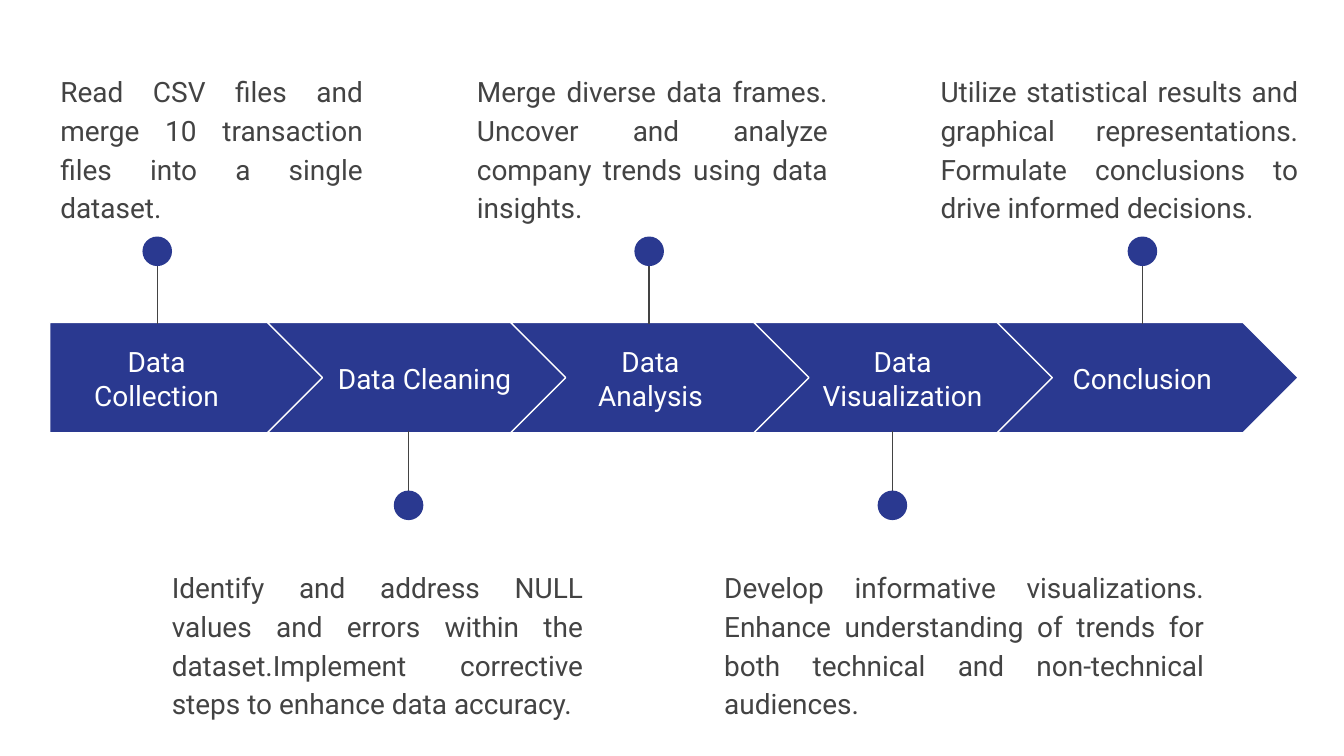
import pptx
import pptx.util
import pptx.dml.color
import pptx.enum.shapes
import pptx.enum.text
import pptx.oxml.ns
import lxml.etree

Inches = pptx.util.Inches
Pt = pptx.util.Pt
KIND = pptx.enum.shapes.MSO_SHAPE
ALIGN = pptx.enum.text.PP_ALIGN
ANCHOR = pptx.enum.text.MSO_ANCHOR
BLUE = pptx.dml.color.RGBColor(0x2A, 0x39, 0x90)
GRAY = pptx.dml.color.RGBColor(0x43, 0x43, 0x43)
WHITE = pptx.dml.color.RGBColor(0xFF, 0xFF, 0xFF)

# Text formats
LABEL = {
    "frame": {"vertical_anchor": ANCHOR.MIDDLE},
    "para": {"alignment": ALIGN.CENTER},
    "color": WHITE,
}
NOTE = {
    "frame": {"vertical_anchor": ANCHOR.TOP},
    "para": {"alignment": ALIGN.JUSTIFY, "line_spacing": 1.15},
    "color": GRAY,
}
INSETS = {"margin_" + side: Inches(0.1) for side in ("left", "top", "right", "bottom")}

# Label, label left and width, pin center, note left and width, note
STEPS = [
    ("Data Collection", 0.37, 1.59, 1.17, 0.35, 2.45,
     "Read CSV files and merge 10 transaction files into a single dataset."),
    ("Data Cleaning", 2.33, 1.66, 3.04, 1.18, 3.26,
     "Identify and address NULL values and errors within the dataset."
     "Implement corrective steps to enhance data accuracy."),
    ("Data Analysis", 4.12, 1.44, 4.83, 3.45, 2.81,
     "Merge diverse data frames. Uncover and analyze company trends using data insights."),
    ("Data Visualization", 5.92, 1.59, 6.64, 5.29, 3.77,
     "Develop informative visualizations. Enhance understanding of trends "
     "for both technical and non-technical audiences."),
    ("Conclusion", 7.78, 1.44, 8.5, 6.9, 2.86,
     "Utilize statistical results and graphical representations. "
     "Formulate conclusions to drive informed decisions."),
]

# Widescreen slide, 16:9
deck = pptx.Presentation()
deck.slide_width = Inches(10)
deck.slide_height = Inches(10 * 9 / 16)
slide = deck.slides.add_slide(deck.slide_layouts[6])
shapes = slide.shapes


def add_text(text, left, top, width, height, style):
    box = shapes.add_textbox(Inches(left), Inches(top), Inches(width), Inches(height))
    frame = box.text_frame
    para = frame.paragraphs[0]
    run = para.add_run()
    run.text = text
    run.font.color.rgb = style["color"]
    for item, values in (
        (frame, {"word_wrap": True, **INSETS, **style["frame"]}),
        (para, style["para"]),
        (run.font, {"name": "Roboto", "size": Pt(15)}),
    ):
        for name, value in values.items():
            setattr(item, name, value)


def add_solid(kind, left, top, width, height):
    solid = shapes.add_shape(kind, Inches(left), Inches(top), Inches(width), Inches(height))
    solid.shadow.inherit = False
    solid.fill.solid()
    solid.fill.fore_color.rgb = BLUE
    return solid


for i, (label, left, width, center, note_left, note_width, note) in enumerate(STEPS):
    # Arrow band
    if i == 0:
        arrow = add_solid(KIND.PENTAGON, 0.37, 2.4, 2.05, 0.82)
    else:
        arrow = add_solid(KIND.CHEVRON, 1.99 + 1.81 * (i - 1), 2.4, 2.24, 0.82)
    arrow.adjustments[0] = 0.5
    arrow.line.color.rgb = WHITE
    arrow.line.width = Pt(0.75)
    add_text(label, left, 2.56, width, 0.51, LABEL)

    # Pin, above and below the band in turn
    above = i % 2 == 0
    start, end, dot_top, note_top = (1.8, 2.41, 1.76, 0.42) if above else (3.82, 3.21, 3.65, 4.11)
    stem = shapes.add_connector(
        pptx.enum.shapes.MSO_CONNECTOR.STRAIGHT,
        Inches(center), Inches(start), Inches(center), Inches(end))
    stem.line.color.rgb = GRAY
    stem.line.width = Pt(0.75)
    lxml.etree.SubElement(stem._element.spPr, pptx.oxml.ns.qn("a:effectLst"))
    dot = add_solid(KIND.OVAL, center - 0.11, dot_top, 0.22, 0.22)
    dot.line.fill.background()

    # Note
    add_text(note, note_left, note_top, note_width, 0.99, NOTE)

deck.save("out.pptx")
